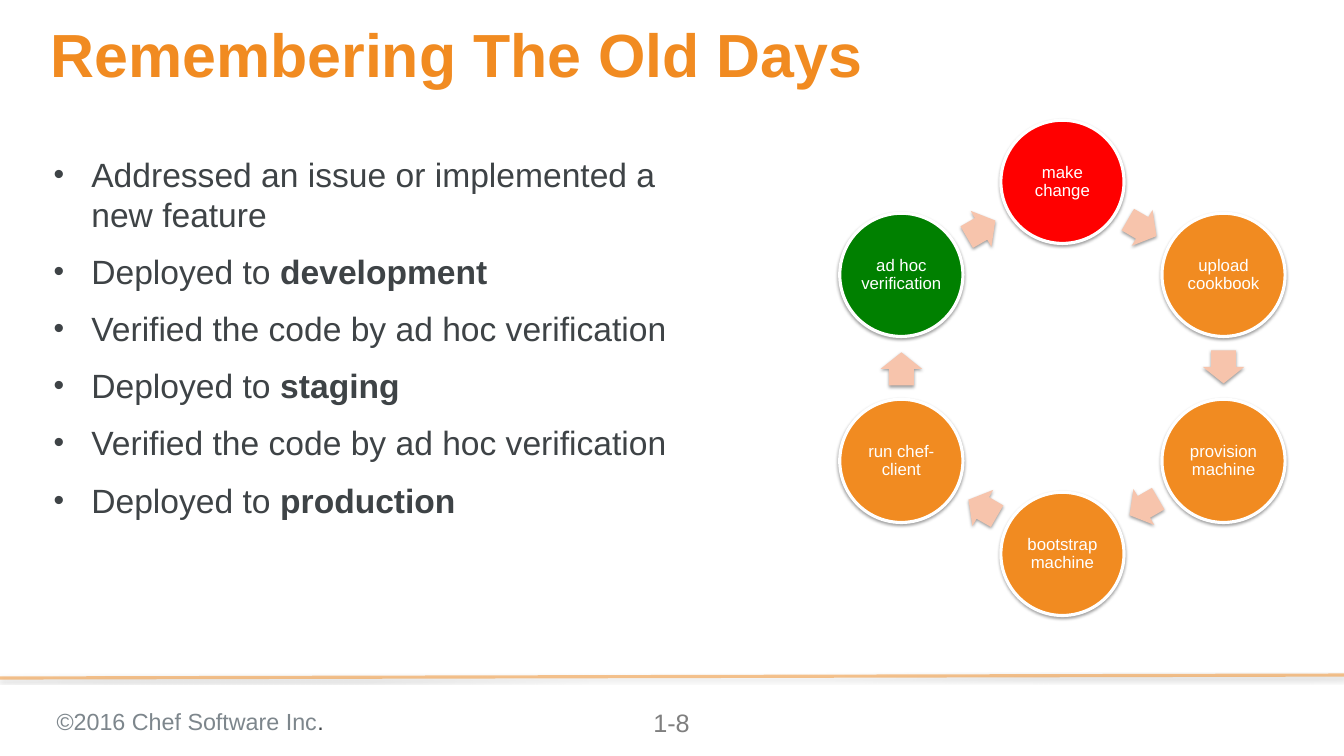
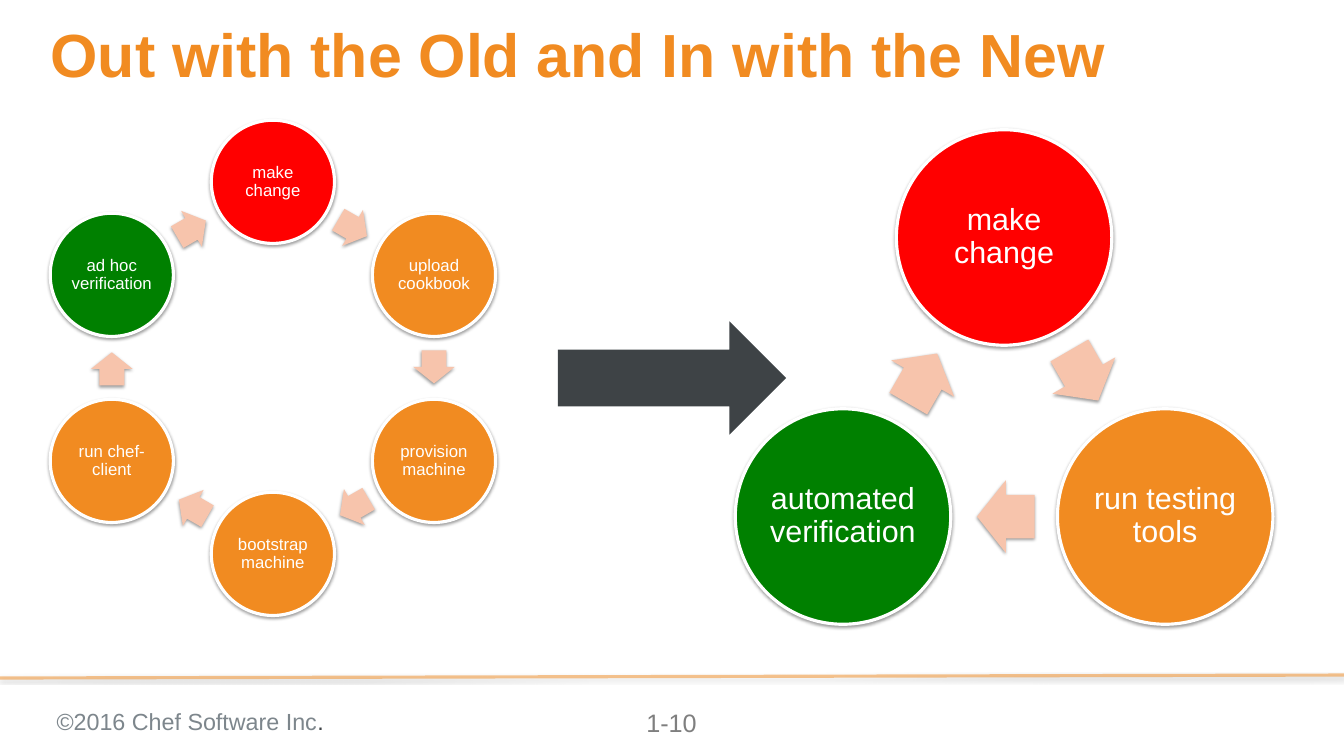
import math
from dataclasses import dataclass

import pptx
import pptx.dml.color
import pptx.enum.shapes
import pptx.enum.text
import pptx.util
from lxml import etree
from pptx.oxml.ns import qn

Cm = pptx.util.Cm
Pt = pptx.util.Pt
SHAPE = pptx.enum.shapes.MSO_SHAPE
ALIGN = pptx.enum.text.PP_ALIGN


@dataclass(frozen=True)
class Theme:
    font: str = "Arial"
    orange: str = "F18B21"
    red: str = "FF0000"
    green: str = "008000"
    peach: str = "F7C4AC"
    white: str = "FFFFFF"
    ink: str = "3E4346"
    copyright_gray: str = "7D868C"
    number_gray: str = "7F7F7F"
    title_size: float = 58
    body_size: float = 32
    copyright_size: float = 22.2
    number_size: float = 24
    rule_width: float = 3


@dataclass(frozen=True)
class CycleStyle:
    """Measures of one ring of steps, in centimetres and points."""
    diameter: float
    inset: float
    text_size: float
    radius: float = 6.25


THEME = Theme()
OLD_STYLE = CycleStyle(diameter=4.14, inset=0.05, text_size=16)
NEW_STYLE = CycleStyle(diameter=7.24, inset=0.1, text_size=29)

SLIDE_WIDTH, SLIDE_HEIGHT = 45.16, 25.4
OLD_STEPS = [
    ("make change", THEME.red),
    ("upload cookbook", THEME.orange),
    ("provision machine", THEME.orange),
    ("bootstrap machine", THEME.orange),
    ("run chef-client", THEME.orange),
    ("ad hoc verification", THEME.green),
]
NEW_STEPS = [
    ("make change", THEME.red),
    ("run testing tools", THEME.orange),
    ("automated verification", THEME.green),
]
# Each point is a plain part followed by a bold part.
OLD_DAYS = [
    ("Addressed an issue or implemented a new feature", ""),
    ("Deployed to ", "development"),
    ("Verified the code by ad hoc verification", ""),
    ("Deployed to ", "staging"),
    ("Verified the code by ad hoc verification", ""),
    ("Deployed to ", "production"),
]


def rgb(color):
    return pptx.dml.color.RGBColor.from_string(color)


def style_font(font, size, color, bold=False):
    font.name = THEME.font
    font.size = Pt(size)
    font.bold = bold
    font.color.rgb = rgb(color)


def set_insets(frame, inset):
    frame.margin_left = frame.margin_right = Cm(inset)
    frame.margin_top = frame.margin_bottom = Cm(inset)


def add_alpha(color_element, percent):
    etree.SubElement(color_element, qn("a:alpha"), val=str(percent * 1000))


def add_soft_shadow(effects, distance, opacity):
    """Fill an a:effectLst with a blurred shadow that falls straight down."""
    shadow = etree.SubElement(
        effects, qn("a:outerShdw"), blurRad=str(Pt(3.1)), dist=str(Pt(distance)),
        dir="5400000", rotWithShape="0")
    add_alpha(etree.SubElement(shadow, qn("a:srgbClr"), val="000000"), opacity)


def add_text(slide, left, top, width, height, inset=0):
    """Add a wrapping text box and return its text frame."""
    frame = slide.shapes.add_textbox(Cm(left), Cm(top), Cm(width), Cm(height)).text_frame
    frame.word_wrap = True
    set_insets(frame, inset)
    return frame


def add_shape(slide, preset, center, size, fill, shadow=True):
    (x, y), (width, height) = center, size
    shape = slide.shapes.add_shape(
        preset, Cm(x - width / 2), Cm(y - height / 2), Cm(width), Cm(height))
    shape.fill.solid()
    shape.fill.fore_color.rgb = rgb(fill)
    shape.line.fill.background()
    shape.shadow.inherit = False
    if shadow:
        add_soft_shadow(shape._element.spPr.find(qn("a:effectLst")), 1.6, 38)
    return shape


def add_title(slide, title):
    paragraph = add_text(slide, 1.7, 0.84, 41.48, 2.31).paragraphs[0]
    paragraph.text = title
    paragraph.line_spacing = 0.9
    style_font(paragraph.runs[0].font, THEME.title_size, THEME.orange, bold=True)


def add_footer(slide, number):
    rule = slide.shapes.add_connector(
        pptx.enum.shapes.MSO_CONNECTOR.STRAIGHT,
        Cm(SLIDE_WIDTH), Cm(22.68), Cm(0), Cm(22.78))
    rule.line.width = Pt(THEME.rule_width)
    rule.line.color.rgb = rgb(THEME.orange)
    properties = rule._element.spPr
    add_alpha(next(properties.iter(qn("a:srgbClr"))), 50)
    add_soft_shadow(etree.SubElement(properties, qn("a:effectLst")), 1.8, 35)

    owner = add_text(slide, 1.65, 23.5, 14.99, 1.32, inset=0.25).paragraphs[0]
    for part, color in [("©2016 Chef Software Inc", THEME.copyright_gray), (".", THEME.ink)]:
        run = owner.add_run()
        run.text = part
        style_font(run.font, THEME.copyright_size, color)

    page = add_text(slide, 20.57, 23.5, 3.99, 1.45, inset=0.25).paragraphs[0]
    page.text = number
    page.alignment = ALIGN.CENTER
    style_font(page.runs[0].font, THEME.number_size, THEME.number_gray)


def make_bullet(paragraph):
    properties = paragraph._p.get_or_add_pPr()
    properties.set("marL", str(Cm(1.27)))
    properties.set("indent", str(-Cm(1.27)))
    etree.SubElement(properties, qn("a:buSzPct"), val="90000")
    etree.SubElement(properties, qn("a:buFont"), typeface=THEME.font)
    etree.SubElement(properties, qn("a:buChar"), char="•")


def add_bullets(slide, points):
    frame = add_text(slide, 1.8, 5.16, 21.18, 14.86)
    for index, (plain, strong) in enumerate(points):
        paragraph = frame.add_paragraph() if index else frame.paragraphs[0]
        make_bullet(paragraph)
        if index:
            paragraph.space_before = Pt(8)
        paragraph.space_after = Pt(8)
        for part, bold in [(plain, False), (strong, True)]:
            if part:
                run = paragraph.add_run()
                run.text = part
                style_font(run.font, THEME.body_size, THEME.ink, bold)


def add_step(slide, center, label, color, style):
    circle = add_shape(slide, SHAPE.OVAL, center, (style.diameter, style.diameter), color)
    circle.line.color.rgb = rgb(THEME.white)
    circle.line.width = Pt(THEME.rule_width)
    frame = circle.text_frame
    frame.word_wrap = True
    frame.vertical_anchor = pptx.enum.text.MSO_ANCHOR.MIDDLE
    set_insets(frame, style.inset)
    paragraph = frame.paragraphs[0]
    paragraph.text = label
    paragraph.alignment = ALIGN.CENTER
    paragraph.line_spacing = 0.9
    style_font(paragraph.runs[0].font, style.text_size, THEME.white)


def add_cycle(slide, center_x, center_y, steps, style):
    """Place steps clockwise from the top, with an arrow after each one."""
    turn = 360 / len(steps)

    def on_ring(position, radius):
        angle = math.radians(position * turn)
        return center_x + radius * math.sin(angle), center_y - radius * math.cos(angle)

    chord_radius = style.radius * math.cos(math.radians(turn / 2))
    arrow_size = 0.268 * style.diameter, 0.337 * style.diameter
    setback = 0.008 * style.diameter
    for index, (label, color) in enumerate(steps):
        add_step(slide, on_ring(index, style.radius), label, color, style)
        heading = (index + 0.5) * turn
        x, y = on_ring(index + 0.5, chord_radius)
        x -= setback * math.cos(math.radians(heading))
        y -= setback * math.sin(math.radians(heading))
        arrow = add_shape(slide, SHAPE.RIGHT_ARROW, (x, y), arrow_size, THEME.peach)
        arrow.adjustments[0] = 0.6
        arrow.adjustments[1] = 0.5
        arrow.rotation = heading


def add_slide(deck, title, number):
    slide = deck.slides.add_slide(deck.slide_layouts[6])
    add_footer(slide, number)
    add_title(slide, title)
    return slide


def main():
    deck = pptx.Presentation()
    deck.slide_width, deck.slide_height = Cm(SLIDE_WIDTH), Cm(SLIDE_HEIGHT)

    old_days = add_slide(deck, "Remembering The Old Days", "1-8")
    add_bullets(old_days, OLD_DAYS)
    add_cycle(old_days, 35.7, 12.36, OLD_STEPS, OLD_STYLE)

    change = add_slide(deck, "Out with the Old and In with the New", "1-10")
    add_cycle(change, 33.74, 14.23, NEW_STEPS, NEW_STYLE)
    add_cycle(change, 9.17, 12.36, OLD_STEPS, OLD_STYLE)
    add_shape(change, SHAPE.RIGHT_ARROW, (22.58, 12.7), (7.67, 3.81), THEME.ink, shadow=False)

    deck.save("out.pptx")


if __name__ == "__main__":
    main()
